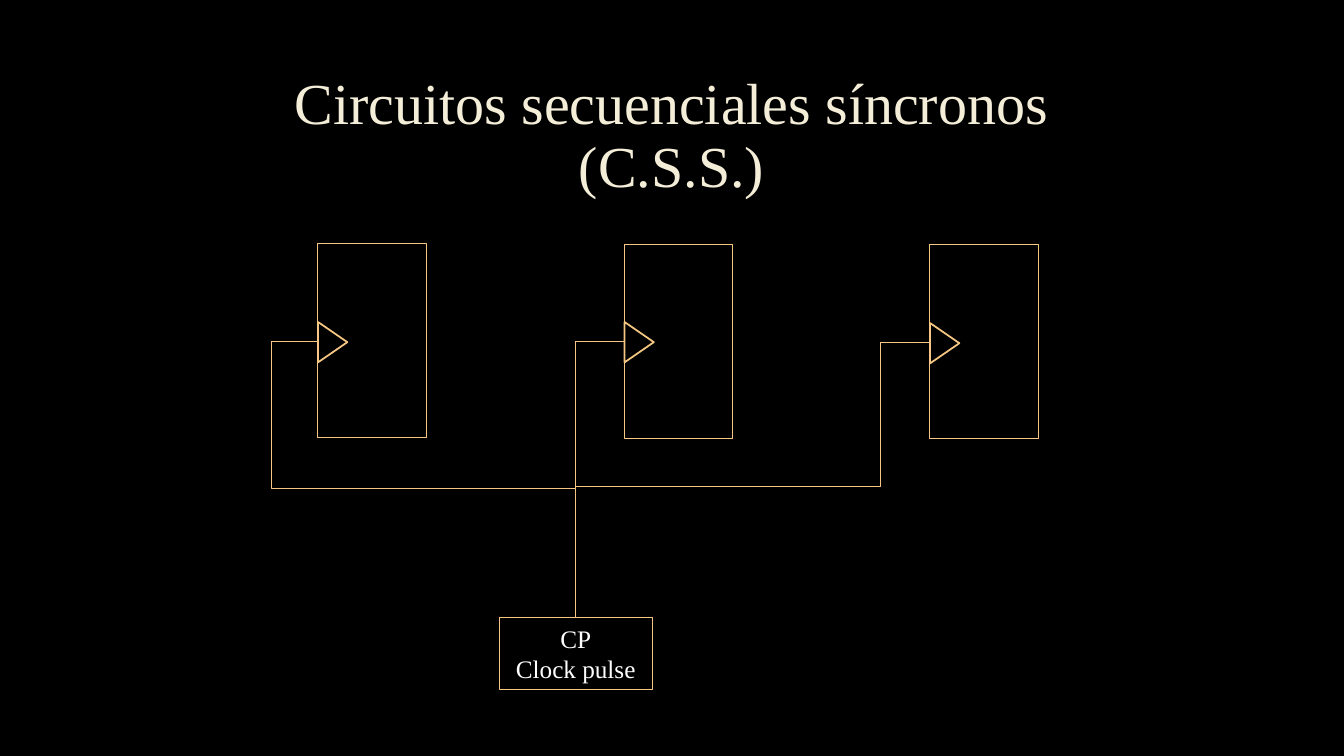
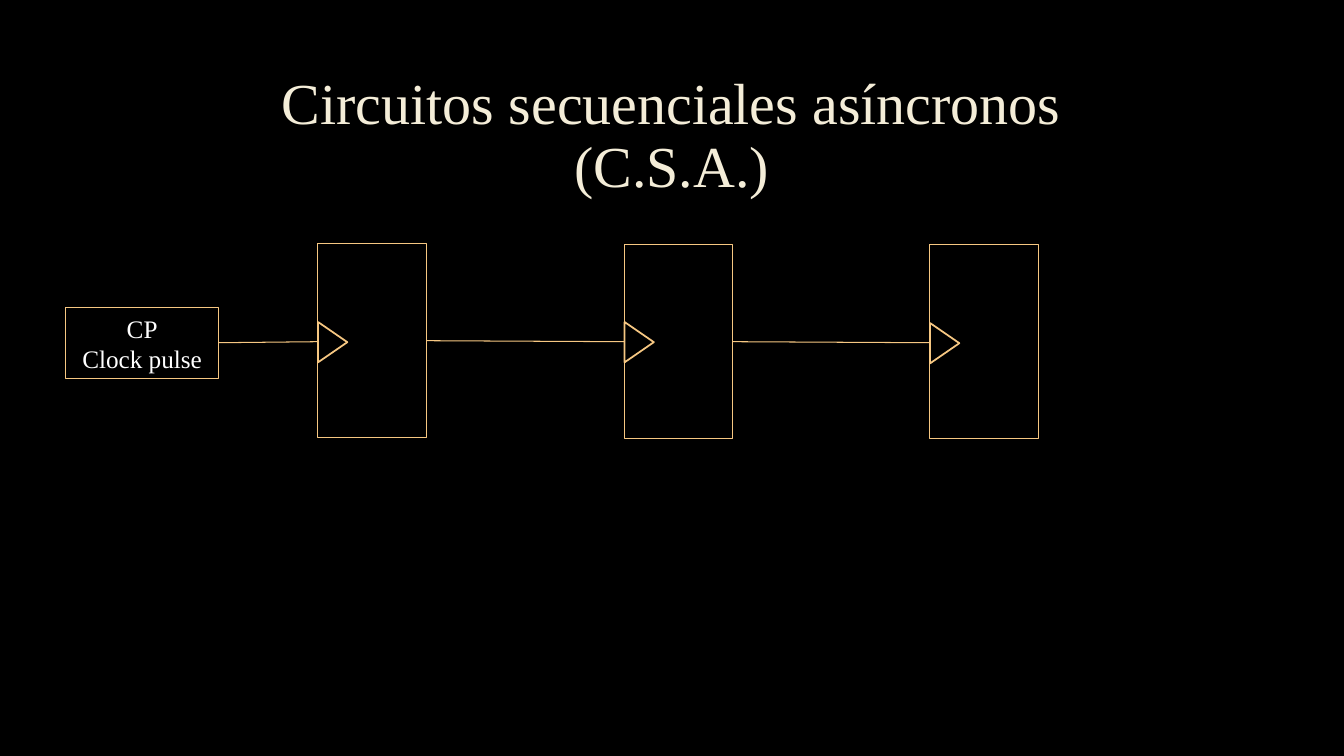
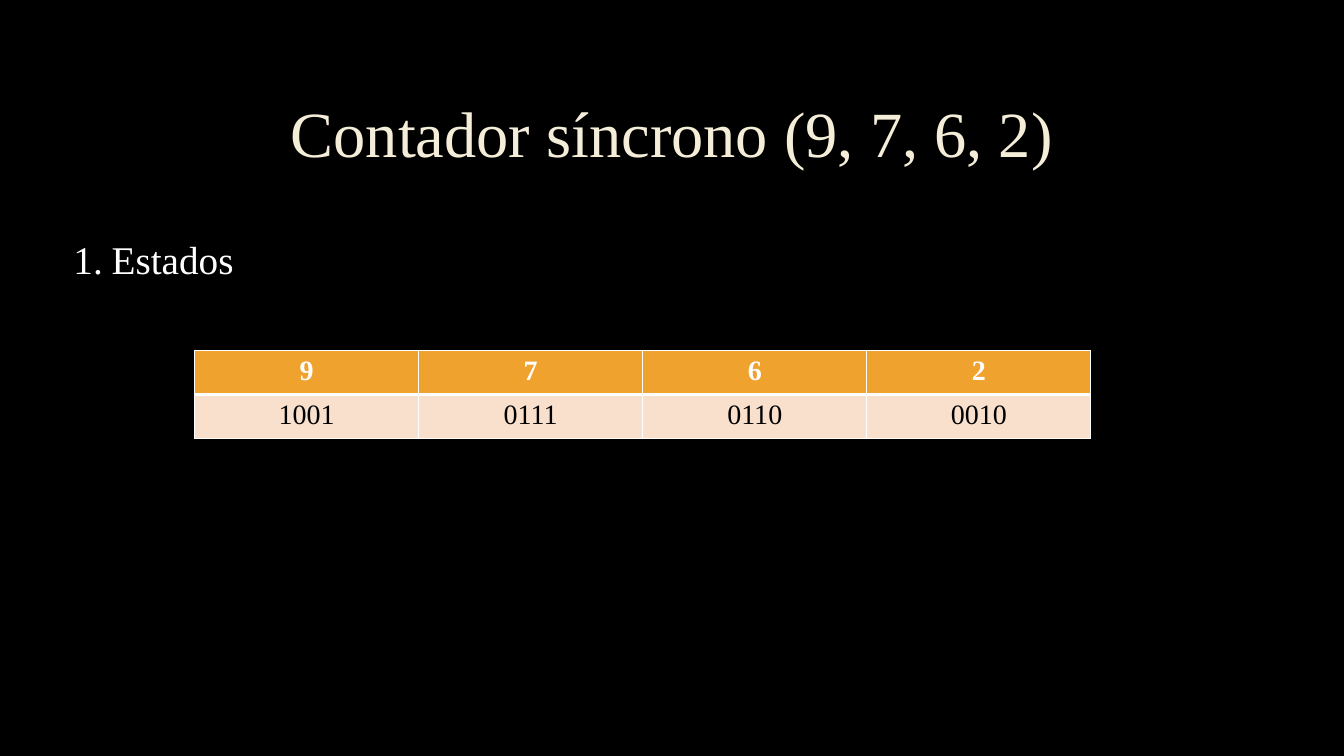
import dataclasses
import typing

import pptx
import pptx.dml.color
import pptx.enum.shapes
import pptx.enum.text
import pptx.oxml
import pptx.oxml.ns
import pptx.util

Inches = pptx.util.Inches
Pt = pptx.util.Pt
SHAPE = pptx.enum.shapes.MSO_SHAPE
CONNECTOR = pptx.enum.shapes.MSO_CONNECTOR
ALIGN = pptx.enum.text.PP_ALIGN
ANCHOR = pptx.enum.text.MSO_ANCHOR

FONT = "Times New Roman"
BLACK = "000000"
WHITE = "FFFFFF"
CREAM = "F4EDD8"
GOLD = "F6C782"
ORANGE = "F0A22E"
PEACH = "F9E0CD"

Point = tuple[float, float]


@dataclasses.dataclass(frozen=True)
class FlipFlop:
    x: float
    y: float
    clock_y: float


@dataclasses.dataclass(frozen=True)
class Wire:
    start: Point
    end: Point
    preset: str = "line"
    adjust: tuple[float, ...] = ()


FLIP_FLOPS = (
    FlipFlop(3.15, 2.42, 3.39),
    FlipFlop(6.19, 2.43, 3.39),
    FlipFlop(9.22, 2.43, 3.40),
)


def color(value: str) -> pptx.dml.color.RGBColor:
    return pptx.dml.color.RGBColor.from_string(value)


def xml(tag: str, body: str = "", **attrs: typing.Any) -> typing.Any:
    ns = pptx.oxml.ns.nsdecls("a")
    pairs = " ".join(f'{k}="{v}"' for k, v in attrs.items())
    return pptx.oxml.parse_xml(f"<a:{tag} {ns} {pairs}>{body}</a:{tag}>")


def write(tf: typing.Any, text: str, *, size: float, fill: str = WHITE,
          align: typing.Any = ALIGN.CENTER, bold: bool = False,
          spacing: float | None = None) -> None:
    tf.word_wrap = True
    for i, line in enumerate(text.split("\n")):
        p = tf.add_paragraph() if i else tf.paragraphs[0]
        p.alignment = align
        p.line_spacing = spacing
        for j, part in enumerate(line.split("\v")):
            if j:
                p.add_line_break()
            r = p.add_run()
            r.text = part
            r.font.name = FONT
            r.font.size = Pt(size)
            r.font.bold = bold
            r.font.color.rgb = color(fill)


def add_slide(prs: typing.Any, title: str, size: float = 41.4) -> typing.Any:
    s = prs.slides.add_slide(prs.slide_layouts[6])
    s.background.fill.solid()
    s.background.fill.fore_color.rgb = color(BLACK)
    sp = s.shapes.add_textbox(Inches(1), Inches(0.67), Inches(11.32), Inches(1.38))
    sp.text_frame.vertical_anchor = ANCHOR.MIDDLE
    write(sp.text_frame, title, size=size, fill=CREAM, spacing=0.9)
    return s


def add_outline(shapes: typing.Any, kind: typing.Any, x: float, y: float,
                w: float, h: float, width: float = 0.75) -> typing.Any:
    sp = shapes.add_shape(kind, Inches(x), Inches(y), Inches(w), Inches(h))
    sp.shadow.inherit = False
    sp.fill.background()
    sp.line.color.rgb = color(GOLD)
    sp.line.width = Pt(width)
    return sp


def add_flip_flop(s: typing.Any, item: FlipFlop) -> typing.Any:
    group = s.shapes.add_group_shape()
    add_outline(group.shapes, SHAPE.RECTANGLE, item.x, item.y, 1.08, 1.92)
    clock = add_outline(group.shapes, SHAPE.ISOSCELES_TRIANGLE,
                        item.x - 0.05, item.clock_y - 0.14, 0.4, 0.29, 1.25)
    clock.rotation = 90
    return clock


def add_clock_source(s: typing.Any, x: float, y: float) -> typing.Any:
    sp = add_outline(s.shapes, SHAPE.RECTANGLE, x, y, 1.52, 0.71)
    sp.text_frame.vertical_anchor = ANCHOR.MIDDLE
    write(sp.text_frame, "CP\nClock pulse", size=18)
    return sp


def add_wire(s: typing.Any, wire: Wire, begin: typing.Any = None,
             end: typing.Any = None) -> None:
    kind = CONNECTOR.STRAIGHT if wire.preset == "line" else CONNECTOR.ELBOW
    x1, y1, x2, y2 = (Inches(v) for v in wire.start + wire.end)
    cx = s.shapes.add_connector(kind, x1, y1, x2, y2)
    if begin is not None:
        cx.begin_connect(begin, 3)
    if end is not None:
        cx.end_connect(end, 0)
    cx.begin_x, cx.begin_y, cx.end_x, cx.end_y = x1, y1, x2, y2
    cx.line.color.rgb = color(GOLD)
    cx.line.width = Pt(0.75)
    sp_pr = cx._element.spPr
    sp_pr.append(xml("effectLst"))
    geom = sp_pr.find(pptx.oxml.ns.qn("a:prstGeom"))
    geom.set("prst", wire.preset)
    guides = geom.find(pptx.oxml.ns.qn("a:avLst"))
    for i, value in enumerate(wire.adjust, 1):
        name = "adj" if wire.preset == "bentConnector3" else f"adj{i}"
        name = "adj1" if name == "adj" else name
        guides.append(xml("gd", name=name, fmla=f"val {round(value * 100000)}"))


def set_borders(cell: typing.Any, **widths: float) -> None:
    tc_pr = cell._tc.get_or_add_tcPr()
    for i, side in enumerate("LRTB"):
        body = f'<a:solidFill><a:srgbClr val="{WHITE}"/></a:solidFill>'
        tc_pr.insert(i, xml(f"ln{side}", body, w=Pt(widths.get(side, 1))))


def add_states_table(s: typing.Any, states: tuple[int, ...]) -> None:
    table = s.shapes.add_table(2, len(states), Inches(1.93), Inches(3.48),
                               Inches(8.89), Inches(0.87)).table
    for col, state in enumerate(states):
        rows = ((str(state), ORANGE, WHITE, True, "B"),
                (f"{state:04b}", PEACH, BLACK, False, "T"))
        for row, (text, fill, ink, bold, thick_side) in enumerate(rows):
            cell = table.cell(row, col)
            cell.fill.solid()
            cell.fill.fore_color.rgb = color(fill)
            write(cell.text_frame, text, size=20, fill=ink, bold=bold)
            set_borders(cell, **{thick_side: 3})


def build_synchronous(prs: typing.Any) -> None:
    s = add_slide(prs, "Circuitos secuenciales síncronos\v(C.S.S.)")
    source = add_clock_source(s, 4.95, 6.13)
    clocks = [add_flip_flop(s, item) for item in FLIP_FLOPS]
    top = (5.71, 6.13)
    wires = (
        (Wire((3.15, 3.39), top, "bentConnector4", (-0.18, 0.53)), source),
        (Wire((6.19, 3.39), top, "bentConnector2"), source),
        (Wire((9.23, 3.4), (5.71, 4.83), "bentConnector3", (0.14,)), None),
    )
    for clock, (wire, end) in zip(clocks, wires):
        add_wire(s, wire, clock, end)


def build_asynchronous(prs: typing.Any) -> None:
    s = add_slide(prs, "Circuitos secuenciales asíncronos\v(C.S.A.)")
    add_clock_source(s, 0.65, 3.05)
    start = (2.17, 3.4)
    for item in FLIP_FLOPS:
        add_flip_flop(s, item)
        add_wire(s, Wire(start, (item.x, item.clock_y)))
        start = (item.x + 1.08, item.y + 0.96)


def build_counter(prs: typing.Any) -> None:
    states = (9, 7, 6, 2)
    s = add_slide(prs, f"Contador síncrono ({', '.join(map(str, states))})", 46)
    sp = s.shapes.add_textbox(Inches(0.63), Inches(2.29), Inches(6.81), Inches(0.57))
    write(sp.text_frame, "Estados", size=28, align=ALIGN.LEFT)
    p_pr = sp.text_frame.paragraphs[0]._p.get_or_add_pPr()
    p_pr.set("marL", str(Inches(0.38)))
    p_pr.set("indent", str(-Inches(0.38)))
    p_pr.append(xml("buFont", typeface="+mj-lt"))
    p_pr.append(xml("buAutoNum", type="arabicPeriod"))
    add_states_table(s, states)


def main() -> None:
    prs = pptx.Presentation()
    prs.slide_width = Inches(13.33)
    prs.slide_height = Inches(7.5)
    build_synchronous(prs)
    build_asynchronous(prs)
    build_counter(prs)
    prs.save("out.pptx")


if __name__ == "__main__":
    main()
